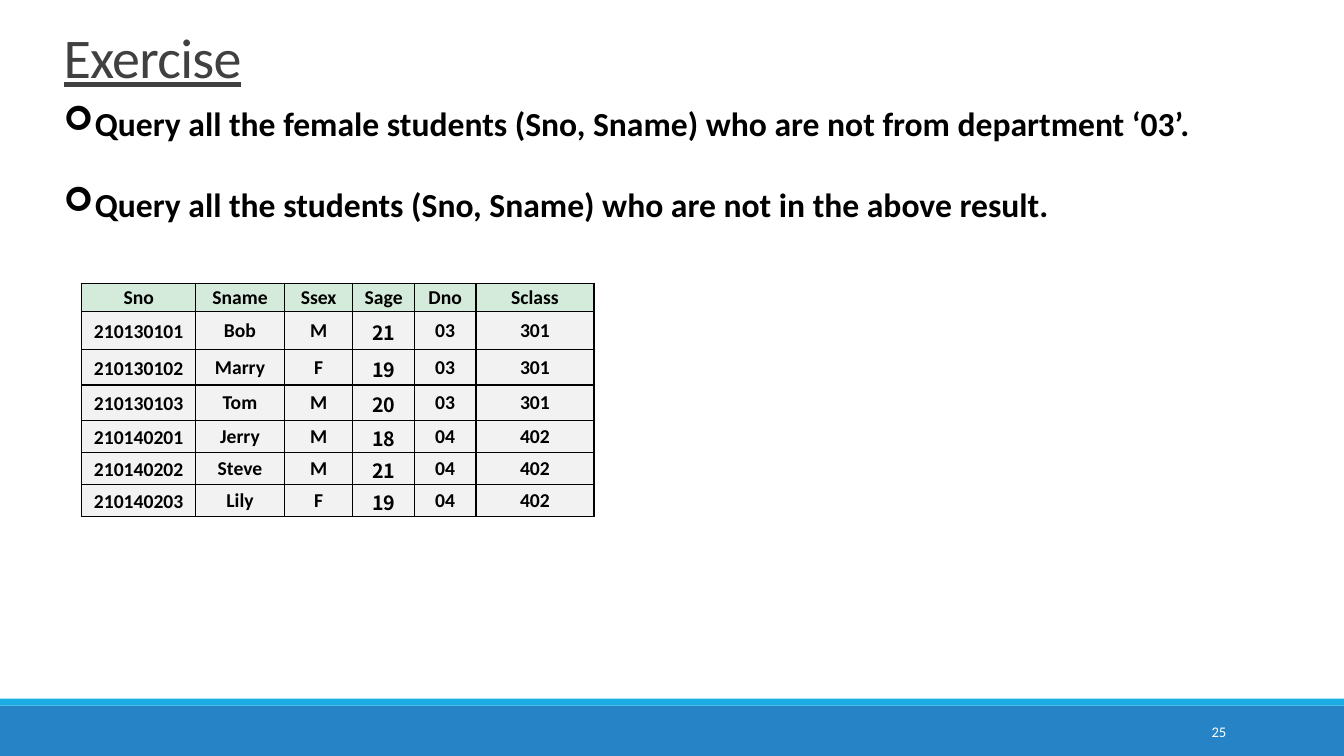
from typing import NamedTuple

from lxml import etree
from pptx import Presentation, util as u
from pptx.dml.color import RGBColor
from pptx.enum import shapes, text
from pptx.oxml import ns

SLIDE_WIDTH, SLIDE_HEIGHT = u.Inches(13.33), u.Inches(7.5)
BLACK = RGBColor(0x00, 0x00, 0x00)
WHITE = RGBColor(0xFF, 0xFF, 0xFF)
TITLE_GREY = RGBColor(0x40, 0x40, 0x40)
BAR_BLUE = RGBColor(0x26, 0x83, 0xC6)
STRIPE_BLUE = RGBColor(0x1C, 0xAD, 0xE4)
HEADER_GREEN = RGBColor(0xD4, 0xEB, 0xDB)
BODY_GREY = RGBColor(0xF2, 0xF2, 0xF2)
BODY_FONT, AGE_FONT = "Calibri", "Noto Sans CJK SC"


class Area(NamedTuple):
    """Left, top, width and height in percent of the slide's size."""
    left: float
    top: float
    width: float
    height: float


class Margins(NamedTuple):
    """Cell margins in inches."""
    left: float
    top: float
    right: float
    bottom: float


class Bar(NamedTuple):
    area: Area
    colour: RGBColor


BARS = [
    Bar(Area(0, 93.33, 100, 6.67), BAR_BLUE),
    Bar(Area(0, 92.4, 100, 0.93), STRIPE_BLUE),
]
TITLE_AREA = Area(4, 3.73, 52.3, 10.93)
TASKS_AREA = Area(4, 12.93, 89.5, 17.5)
NUMBER_AREA = Area(81.25, 94.13, 10.73, 5.33)

TASKS = [
    "Query all the female students (Sno, Sname) who are not from department ‘03’.",
    "Query all the students (Sno, Sname) who are not in the above result.",
]
STUDENTS = [
    ("Sno", "Sname", "Ssex", "Sage", "Dno", "Sclass"),
    ("210130101", "Bob", "M", "21", "03", "301"),
    ("210130102", "Marry", "F", "19", "03", "301"),
    ("210130103", "Tom", "M", "20", "03", "301"),
    ("210140201", "Jerry", "M", "18", "04", "402"),
    ("210140202", "Steve", "M", "21", "04", "402"),
    ("210140203", "Lily", "F", "19", "04", "402"),
]
TABLE_LEFT, TABLE_TOP = 6.08, 37.47
COLUMN_SHARES = [8.48, 6.6, 5.1, 4.58, 4.58, 8.78]
ROW_SHARES = [3.73, 5.07, 4.67, 4.67, 4.25, 4.25, 4.25]
AGE_COLUMN = 3
HEAVY_EDGES = {AGE_COLUMN, len(COLUMN_SHARES) - 1}
TIGHT = Margins(0.05, 0.02, 0.05, 0.02)
NUMBER_MARGINS = Margins(0, 0.03, 0, 0)
ROOMY = Margins(0.08, 0.04, 0.08, 0.04)


def across(share: float) -> int:
    return round(SLIDE_WIDTH * share / 100)


def down(share: float) -> int:
    return round(SLIDE_HEIGHT * share / 100)


def place(area: Area) -> tuple[int, int, int, int]:
    return across(area.left), down(area.top), across(area.width), down(area.height)


def style(para, size: float, colour: RGBColor, bold: bool = False,
          name: str = BODY_FONT) -> None:
    for span in para.runs:
        span.font.size = u.Pt(size)
        span.font.name = name
        span.font.bold = bold
        span.font.color.rgb = colour


def add_bar(page, bar: Bar) -> None:
    shape = page.shapes.add_shape(shapes.MSO_SHAPE.RECTANGLE, *place(bar.area))
    shape.shadow.inherit = False
    shape.fill.solid()
    shape.fill.fore_color.rgb = bar.colour
    shape.line.fill.background()


def add_text(page, area: Area, wording: str):
    frame = page.shapes.add_textbox(*place(area)).text_frame
    frame.word_wrap = True
    frame.text = wording
    return frame


def add_bullet(para) -> None:
    """Give the paragraph an arrowhead bullet with a hanging indent."""
    properties = para._p.get_or_add_pPr()
    indent = u.Inches(0.31)
    properties.set("marL", str(indent))
    properties.set("indent", str(-indent))
    etree.SubElement(properties, ns.qn("a:buFont"), typeface="Wingdings")
    etree.SubElement(properties, ns.qn("a:buChar"), char="➢")


def add_borders(cell, column: int) -> None:
    properties = cell._tc.get_or_add_tcPr()
    heavy = {"L": column - 1 in HEAVY_EDGES, "R": column in HEAVY_EDGES}
    for side in "LRTB":
        width = u.Pt(1.5 if heavy.get(side) else 1)
        line = etree.SubElement(properties, ns.qn(f"a:ln{side}"), w=str(width))
        fill = etree.SubElement(line, ns.qn("a:solidFill"))
        etree.SubElement(fill, ns.qn("a:srgbClr"), val=str(BLACK))


def margins_for(row: int, column: int) -> Margins:
    if row == 0 or column in (1, 2):
        return TIGHT
    return NUMBER_MARGINS if column in (0, AGE_COLUMN) else ROOMY


def fill_cell(cell, wording: str, row: int, column: int) -> None:
    add_borders(cell, column)
    cell.fill.solid()
    cell.fill.fore_color.rgb = BODY_GREY if row else HEADER_GREEN
    margins = margins_for(row, column)
    cell.margin_left, cell.margin_top = u.Inches(margins.left), u.Inches(margins.top)
    cell.margin_right, cell.margin_bottom = u.Inches(margins.right), u.Inches(margins.bottom)
    cell.vertical_anchor = text.MSO_ANCHOR.MIDDLE
    cell.text_frame.text = wording
    para = cell.text_frame.paragraphs[0]
    para.alignment = text.PP_ALIGN.CENTER
    name = AGE_FONT if row and column == AGE_COLUMN else BODY_FONT
    style(para, 14, BLACK, bold=True, name=name)


def add_students(page) -> None:
    area = Area(TABLE_LEFT, TABLE_TOP, sum(COLUMN_SHARES), sum(ROW_SHARES))
    table = page.shapes.add_table(len(ROW_SHARES), len(COLUMN_SHARES), *place(area)).table
    for column, share in zip(table.columns, COLUMN_SHARES):
        column.width = across(share)
    for row, share in zip(table.rows, ROW_SHARES):
        row.height = down(share)
    for row, student in enumerate(STUDENTS):
        for column, wording in enumerate(student):
            fill_cell(table.cell(row, column), wording, row, column)


def add_tasks(page) -> None:
    frame = add_text(page, TASKS_AREA, "\n".join(TASKS))
    for index, para in enumerate(frame.paragraphs):
        if index:
            para.space_before = u.Pt(29)
        add_bullet(para)
        style(para, 24, BLACK, bold=True)


def add_title(page) -> None:
    para = add_text(page, TITLE_AREA, "Exercise").paragraphs[0]
    para.line_spacing = 0.85
    style(para, 40, TITLE_GREY)
    para.runs[0].font.underline = True
    para.runs[0].font._element.set("spc", "-50")


def add_page_number(page) -> None:
    frame = add_text(page, NUMBER_AREA, "25")
    frame.vertical_anchor = text.MSO_ANCHOR.MIDDLE
    para = frame.paragraphs[0]
    para.alignment = text.PP_ALIGN.RIGHT
    style(para, 10.5, WHITE)


def main() -> None:
    deck = Presentation()
    deck.slide_width, deck.slide_height = SLIDE_WIDTH, SLIDE_HEIGHT
    page = deck.slides.add_slide(deck.slide_layouts[6])
    for bar in BARS:
        add_bar(page, bar)
    add_page_number(page)
    add_students(page)
    add_tasks(page)
    add_title(page)
    deck.save("out.pptx")


if __name__ == "__main__":
    main()
